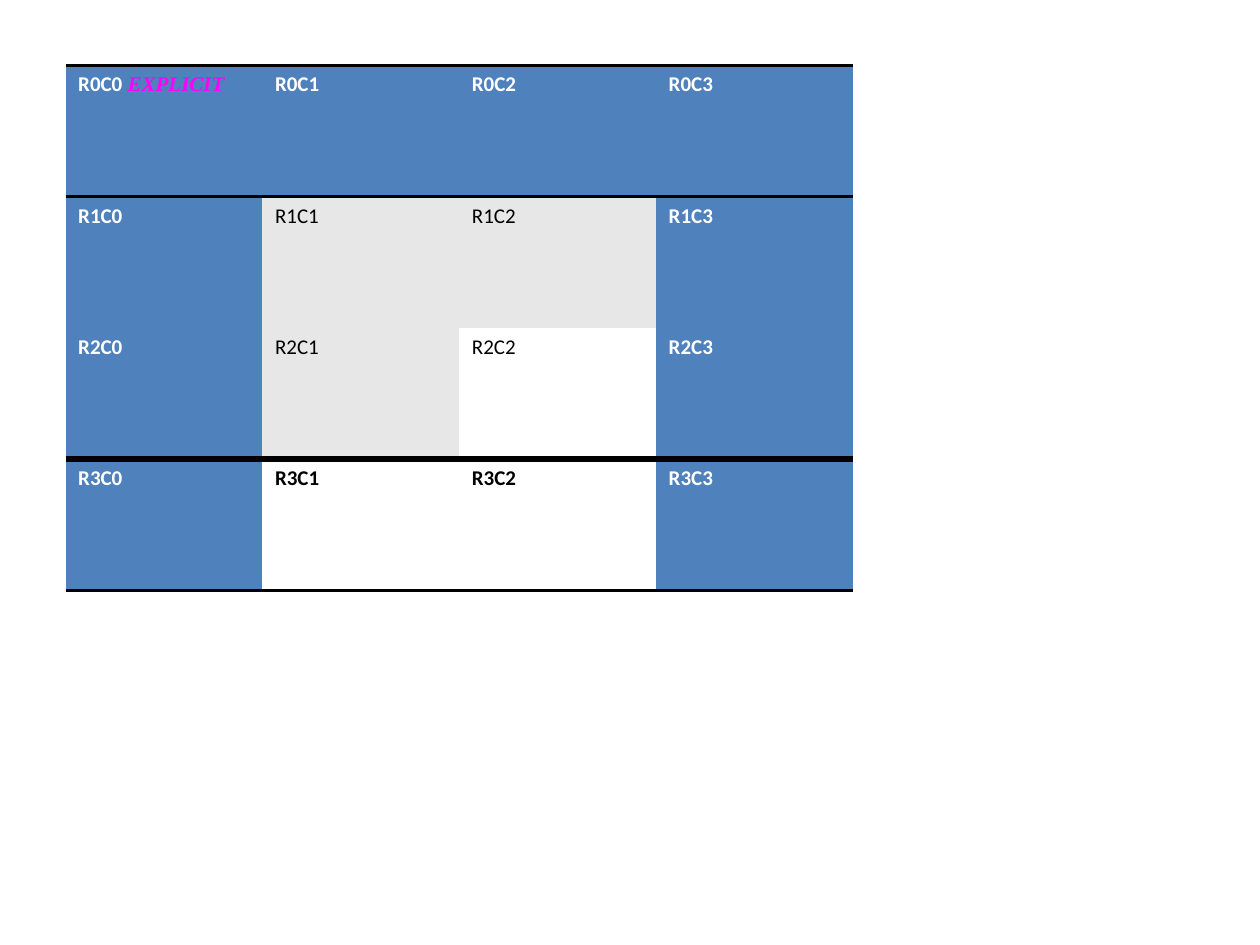
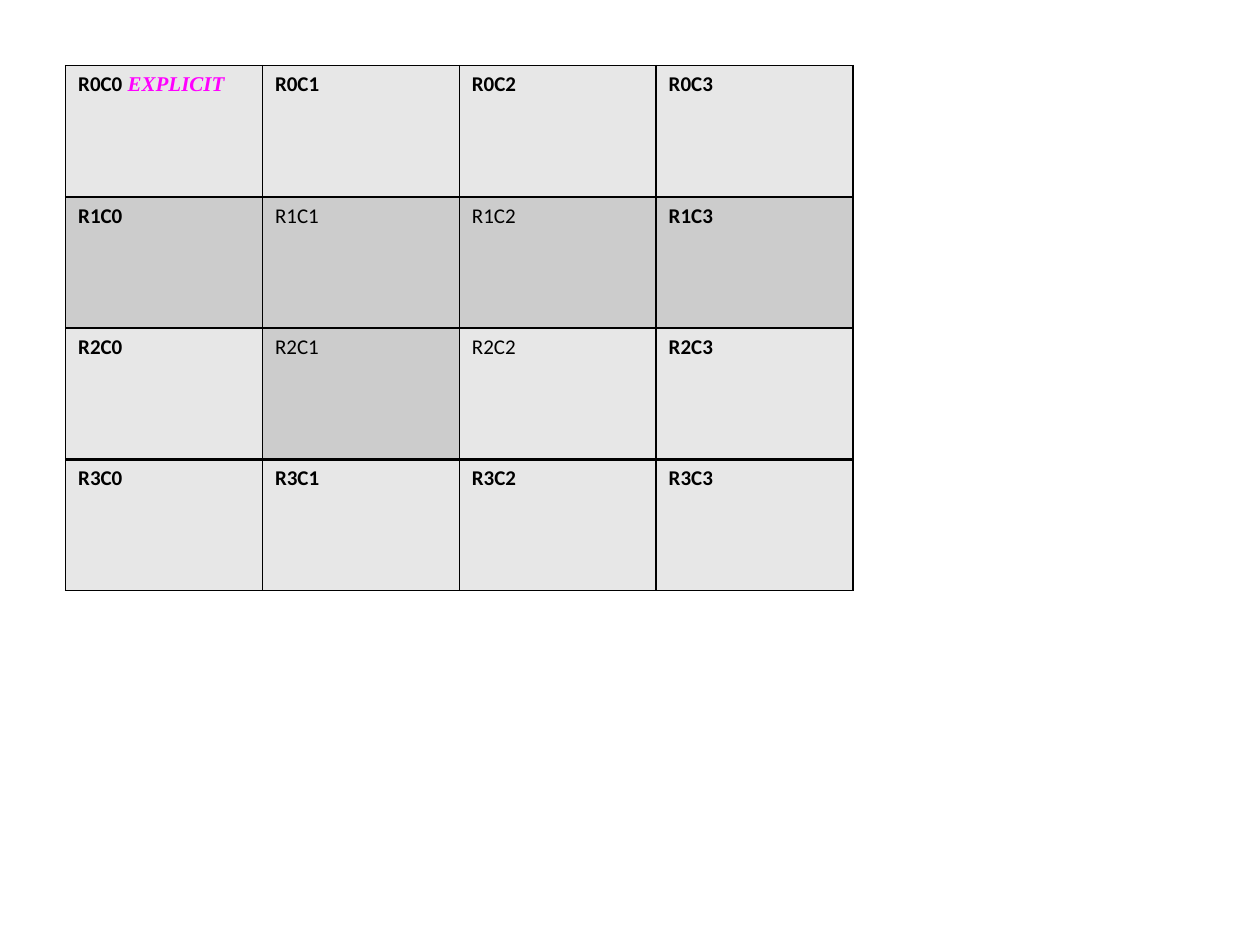
from dataclasses import dataclass

from lxml.etree import SubElement
from pptx import Presentation
from pptx.dml.color import RGBColor
from pptx.oxml import parse_xml
from pptx.oxml.ns import nsdecls, qn
from pptx.util import Pt


@dataclass(frozen=True)
class Theme:
    black: str = "000000"
    white: str = "FFFFFF"
    blue: str = "4F81BD"
    light_gray: str = "E7E7E7"
    mid_gray: str = "CCCCCC"
    magenta: str = "FF00FF"
    body_font: str = "Calibri"
    accent_font: str = "Times New Roman"
    text_size: int = 12


@dataclass(frozen=True)
class TableLook:
    plain_fill: str
    band_fill: str
    header_fill: str
    side_fills: tuple  # first and last column, one fill per row
    header_text: str
    row_rules: tuple  # widths of the horizontal rules, top to bottom
    column_rule: int  # width of every vertical rule


THEME = Theme()
GRID_SIZE = 4
LAST = GRID_SIZE - 1
TABLE_ORIGIN = 37.5
COLUMN_WIDTH = 112.5
ROW_HEIGHT = 75

BLUE_LOOK = TableLook(
    plain_fill=THEME.white,
    band_fill=THEME.light_gray,
    header_fill=THEME.blue,
    side_fills=(THEME.blue,) * GRID_SIZE,
    header_text=THEME.white,
    row_rules=(2, 2, 0, 4, 2),
    column_rule=0,
)
GRID_LOOK = TableLook(
    plain_fill=THEME.light_gray,
    band_fill=THEME.mid_gray,
    header_fill=THEME.light_gray,
    side_fills=(THEME.light_gray, THEME.mid_gray, THEME.light_gray, THEME.light_gray),
    header_text=THEME.black,
    row_rules=(1, 1, 1, 2, 1),
    column_rule=1,
)


def is_side(column):
    return column in (0, LAST)


def cell_fill(look, row, column):
    if row == 0:
        return look.header_fill
    if is_side(column):
        return look.side_fills[row]
    # The banded row and banded column meet in the inner cells
    is_banded = row == 1 or (row, column) == (2, 1)
    return look.band_fill if is_banded else look.plain_fill


def style_run(run, color, bold, font_name=THEME.body_font, italic=False):
    font = run.font
    font.name = font_name
    font.size = Pt(THEME.text_size)
    font.bold = bold
    font.italic = italic
    font.color.rgb = RGBColor.from_string(color)


def set_borders(cell, left, right, top, bottom):
    """Border elements come before the fill, in schema order."""
    properties = cell._tc.get_or_add_tcPr()
    widths = {"lnL": left, "lnR": right, "lnT": top, "lnB": bottom}
    for position, (tag, width) in enumerate(widths.items()):
        line = parse_xml(f'<a:{tag} {nsdecls("a")} w="{Pt(width)}"/>')
        if width:
            fill = SubElement(line, qn("a:solidFill"))
            SubElement(fill, qn("a:srgbClr"), val=THEME.black)
        else:
            SubElement(line, qn("a:noFill"))
        properties.insert(position, line)


def fill_cell(cell, look, row, column):
    cell.fill.solid()
    cell.fill.fore_color.rgb = RGBColor.from_string(cell_fill(look, row, column))
    set_borders(cell, look.column_rule, look.column_rule,
                look.row_rules[row], look.row_rules[row + 1])

    # Label: bold around the edge, header colour on top and at the sides
    paragraph = cell.text_frame.paragraphs[0]
    paragraph.text = f"R{row}C{column}"
    color = look.header_text if row == 0 or is_side(column) else THEME.black
    bold = row in (0, LAST) or is_side(column)
    style_run(paragraph.runs[0], color, bold)

    # The first cell carries its own explicit formatting
    if row == column == 0:
        explicit = paragraph.add_run()
        explicit.text = " EXPLICIT"
        style_run(explicit, THEME.magenta, True, THEME.accent_font, italic=True)


def add_grid_table(slide, look):
    table = slide.shapes.add_table(
        GRID_SIZE, GRID_SIZE, Pt(TABLE_ORIGIN), Pt(TABLE_ORIGIN),
        Pt(COLUMN_WIDTH * GRID_SIZE), Pt(ROW_HEIGHT * GRID_SIZE)).table
    table.first_row = False
    table.horz_banding = False
    for row in range(GRID_SIZE):
        for column in range(GRID_SIZE):
            fill_cell(table.cell(row, column), look, row, column)


def main():
    presentation = Presentation()
    presentation.slide_width = Pt(720)
    presentation.slide_height = Pt(540)
    blank_layout = presentation.slide_layouts[6]
    for look in (BLUE_LOOK, GRID_LOOK):
        add_grid_table(presentation.slides.add_slide(blank_layout), look)
    presentation.save("out.pptx")


if __name__ == "__main__":
    # Slide 1: blue header and sides; slide 2: gray grid
    main()
